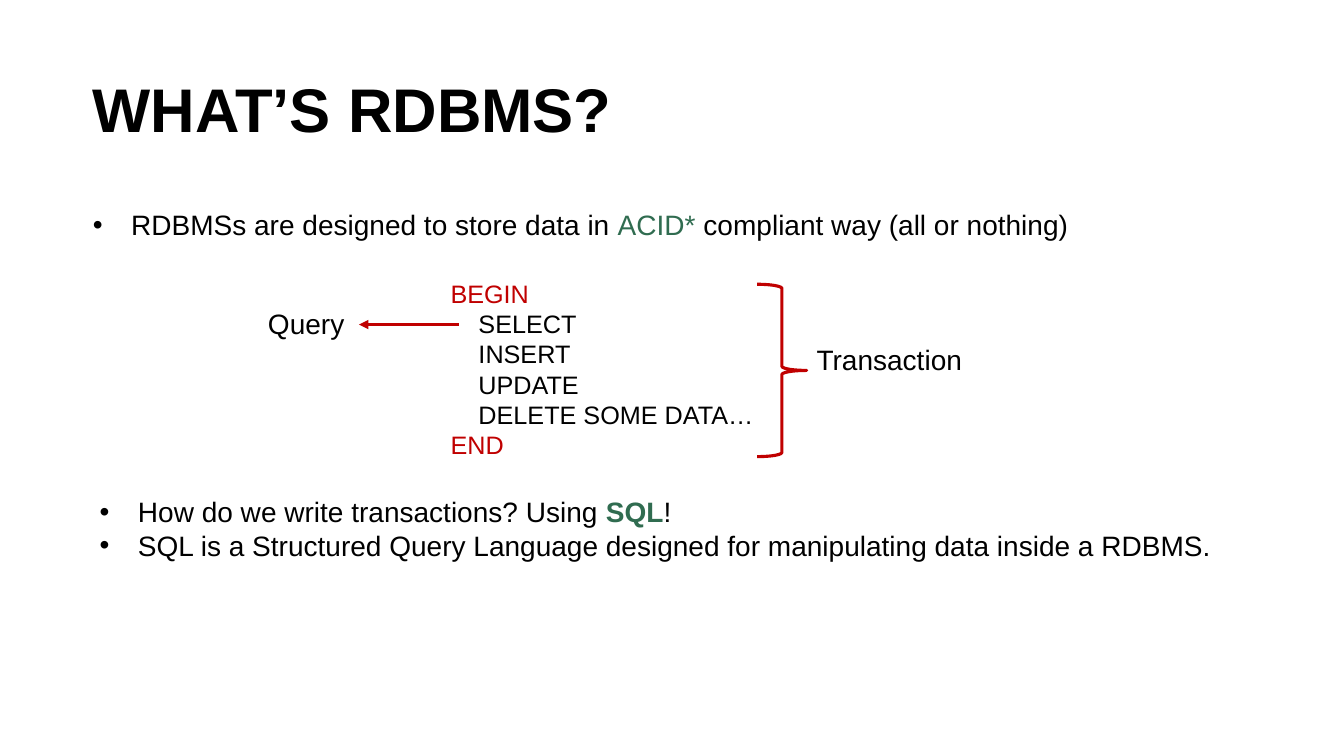
from lxml import etree
from pptx import Presentation
from pptx.dml.color import RGBColor
from pptx.enum.shapes import MSO_CONNECTOR as CONN, MSO_SHAPE as SHAPE
from pptx.enum.text import MSO_ANCHOR as ANCHOR, MSO_AUTO_SIZE as AUTO, PP_ALIGN as ALIGN
from pptx.oxml.ns import qn
from pptx.util import Inches, Pt

BLACK = RGBColor(0x00, 0x00, 0x00)
GREEN = RGBColor(0x30, 0x6C, 0x50)
RED = RGBColor(0xC0, 0x00, 0x00)
FONT = "Arial"


def place(sp, left, top, width, height):
    sp.left, sp.top = Inches(left), Inches(top)
    sp.width, sp.height = Inches(width), Inches(height)


def add_run(p, text, size, color=BLACK, bold=False):
    r = p.add_run()
    r.text = text
    r.font.name = FONT
    r.font.size = Pt(size)
    r.font.bold = bold
    r.font.color.rgb = color


def add_bullet(p):
    pPr = p._p.get_or_add_pPr()
    pPr.set("marL", str(Inches(0.38)))
    pPr.set("indent", str(Inches(-0.38)))
    etree.SubElement(pPr, qn("a:buFont")).set("typeface", FONT)
    etree.SubElement(pPr, qn("a:buChar")).set("char", "•")


def write(tf, paragraphs, size, bulleted=False):
    for i, runs in enumerate(paragraphs):
        p = tf.paragraphs[0] if i == 0 else tf.add_paragraph()
        if bulleted:
            add_bullet(p)
        p.alignment = ALIGN.LEFT
        for run in runs:
            add_run(p, run[0], size, *run[1:])


def fill_placeholder(sp, box, runs, size, anchor, bulleted=False):
    place(sp, *box)
    tf = sp.text_frame
    tf.auto_size = AUTO.NONE
    tf.word_wrap = True
    tf.vertical_anchor = anchor
    tf.margin_left = tf.margin_right = Inches(0.05)
    tf.margin_top = tf.margin_bottom = Inches(0.05)
    write(tf, [runs], size, bulleted)
    p = tf.paragraphs[0]
    p.line_spacing = 0.9
    p.space_before = Pt(0)


def add_text(slide, box, paragraphs, size, bulleted=False):
    tf = slide.shapes.add_textbox(*map(Inches, box)).text_frame
    tf.word_wrap = True
    write(tf, paragraphs, size, bulleted)


def style_line(sp):
    sp.line.color.rgb = RED
    sp.line.width = Pt(2.25)


def add_brace(slide, box):
    sp = slide.shapes.add_shape(SHAPE.RIGHT_BRACE, *map(Inches, box))
    sp.shadow.inherit = False
    sp.fill.background()
    style_line(sp)


def add_arrow(slide, *ends):
    sp = slide.shapes.add_connector(CONN.STRAIGHT, *map(Inches, ends))
    style_line(sp)
    etree.SubElement(sp.line._get_or_add_ln(), qn("a:tailEnd")).set("type", "triangle")
    etree.SubElement(sp._element.spPr, qn("a:effectLst"))


def main():
    prs = Presentation()
    prs.slide_width, prs.slide_height = Inches(13.33), Inches(7.5)
    slide = prs.slides.add_slide(prs.slide_layouts[1])

    fill_placeholder(slide.shapes.title, (0.87, 0.67, 10.33, 0.89),
                     [("WHAT’S RDBMS?", BLACK, True)], 44, ANCHOR.MIDDLE)
    fill_placeholder(slide.placeholders[1], (0.87, 2.05, 11.09, 0.48),
                     [("RDBMSs are designed to store data in ",), ("ACID*", GREEN),
                      (" compliant way (all or nothing)",)],
                     20, ANCHOR.TOP, bulleted=True)

    add_text(slide, (0.89, 4.86, 11.77, 0.77), [
        [("How do we write transactions? Using ",), ("SQL", GREEN, True), ("!",)],
        [("SQL is a Structured Query Language designed for manipulating data inside a RDBMS.",)],
    ], 20, bulleted=True)

    add_text(slide, (4.37, 2.71, 4.02, 1.92), [
        [("BEGIN", RED)],
        [("    SELECT",)],
        [("    INSERT",)],
        [("    UPDATE",)],
        [("    DELETE SOME DATA…",)],
        [("END", RED)],
    ], 18)
    add_brace(slide, (7.51, 2.82, 0.49, 1.71))
    add_text(slide, (8, 3.35, 1.89, 0.44), [[("Transaction",)]], 20)
    add_arrow(slide, 4.55, 3.22, 3.56, 3.22)
    add_text(slide, (2.56, 2.99, 1.07, 0.44), [[("Query",)]], 20)

    prs.save("out.pptx")


if __name__ == "__main__":
    main()
